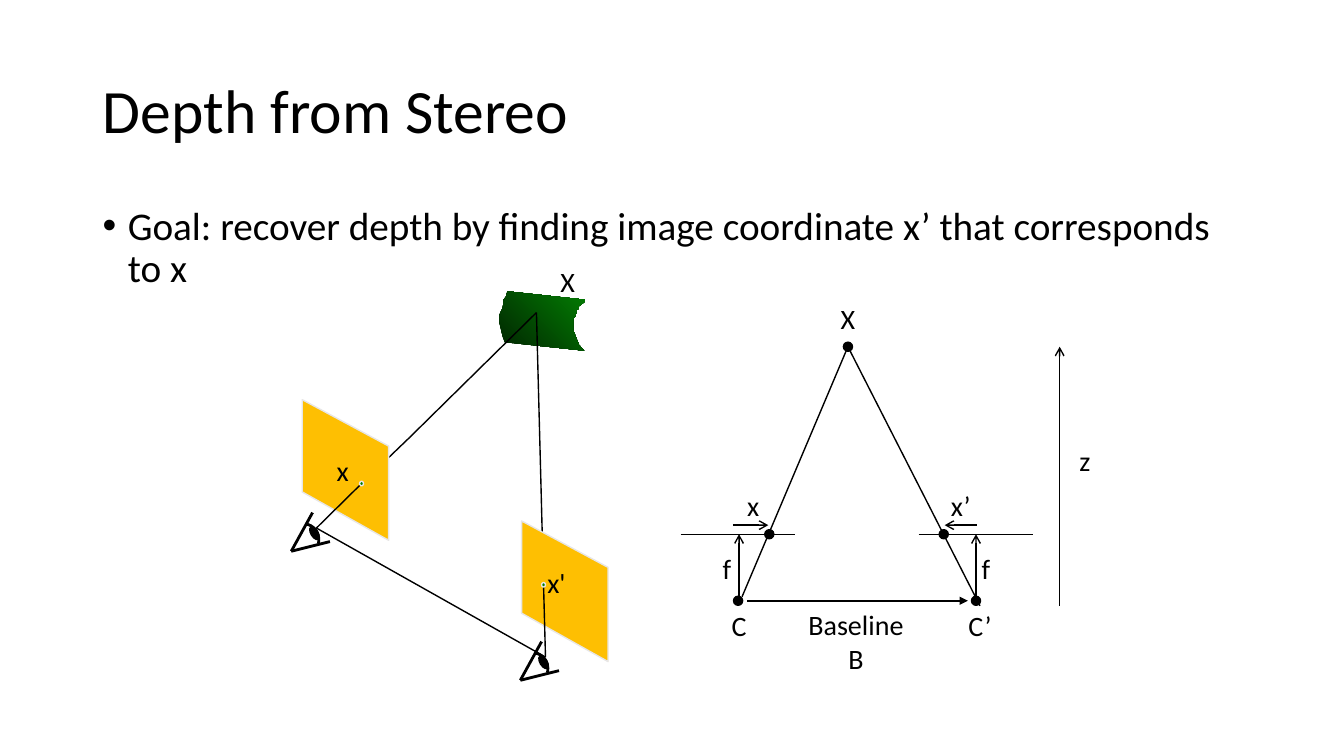
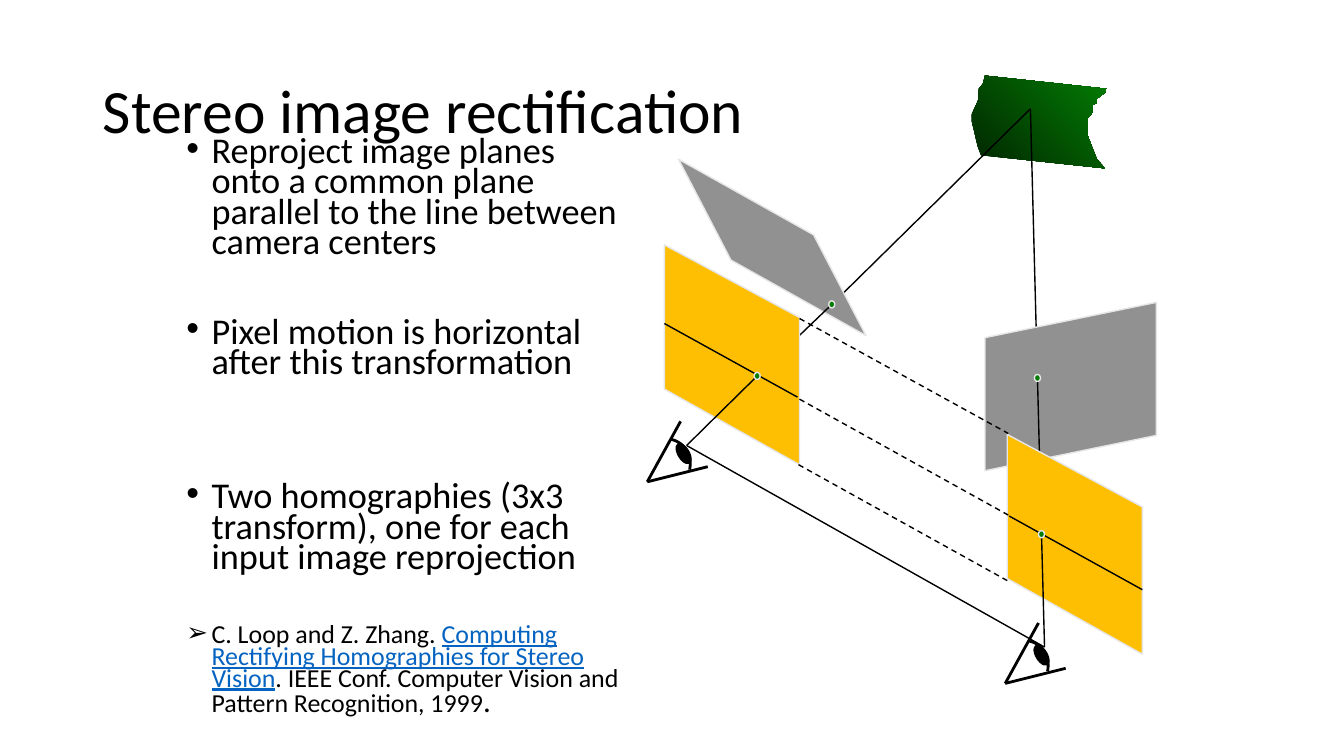
from dataclasses import dataclass
from typing import Optional

import lxml.etree
import pptx
import pptx.dml.color
import pptx.enum.dml
import pptx.enum.shapes
import pptx.enum.text
import pptx.oxml.ns
import pptx.presentation
import pptx.shapes.autoshape
import pptx.slide
import pptx.text.text
import pptx.util

Point = tuple[float, float]
Color = pptx.dml.color.RGBColor
Inches = pptx.util.Inches
Pt = pptx.util.Pt

BLACK = Color(0x00, 0x00, 0x00)
YELLOW = Color(0xFE, 0xBF, 0x02)
GRAY = Color(0x91, 0x91, 0x91)
PALE_GRAY = Color(0xE7, 0xE6, 0xE6)
DARK_GREEN = Color(0x01, 0x25, 0x01)
GREEN = Color(0x03, 0x7C, 0x03)
LINK_BLUE = Color(0x05, 0x63, 0xC1)
FONT = "Calibri"
DASH = pptx.enum.dml.MSO_LINE.DASH

SURFACE_OUTLINE = [
    (9.77, 0.75), (9.75, 0.83), (9.71, 0.88), (9.7, 1), (9.64, 1.13),
    (9.64, 1.21), (9.66, 1.29), (9.68, 1.38), (9.7, 1.46), (9.73, 1.54),
    (10.96, 1.67), (10.88, 1.58), (10.84, 1.48), (10.79, 1.35), (10.79, 1.17),
    (10.83, 1.13), (10.84, 1.04), (10.88, 1.02), (10.88, 0.98), (10.96, 0.92),
    (10.97, 0.88),
]
RECTIFIED_PLANE = [(0, 1.43), (1.34, 2.18), (1.34, 0.72), (0, 0)]
LEFT_INPUT_PLANE = [(7.25, 2.58), (8.59, 3.33), (8.07, 2.33), (6.73, 1.58)]
RIGHT_INPUT_PLANE = [(9.77, 3.35), (9.77, 4.67), (11.47, 4.32), (11.47, 3)]
EYELID_CURVE = [(0.24, -0.42), (0.37, -0.39), (0.45, -0.26), (0.42, -0.12)]
SCENE_POINT = (10.22, 1.08)


@dataclass(frozen=True)
class View:
    left: float = 0
    top: float = 0
    scale: float = 1

    def place(self, point: Point) -> Point:
        return self.left + point[0] * self.scale, self.top + point[1] * self.scale


@dataclass(frozen=True)
class Camera:
    eye: Point
    center: Point
    plane_corner: Point
    image_point: Point
    input_point: Point
    input_plane: list[Point]


@dataclass(frozen=True)
class Label:
    text: str
    center: float
    top: float


@dataclass(frozen=True)
class Segment:
    start: Point
    end: Point
    arrow: Optional[str] = None
    width: float = 1


@dataclass(frozen=True)
class Bullet:
    text: str
    space_before: float = 0


CAMERAS = [
    Camera((6.42, 4.78), (6.81, 4.42), (6.59, 2.43), (7.51, 3.73), (8.25, 3.02), LEFT_INPUT_PLANE),
    Camera((9.97, 6.78), (10.36, 6.42), (9.99, 4.31), (10.33, 5.3), (10.29, 3.75), RIGHT_INPUT_PLANE),
]
FULL_VIEW = View()
SMALL_VIEW = View(-1.22, 2.41, 0.64)

TRIANGLE_SEGMENTS = [
    Segment((6.75, 5.3), (7.89, 5.3)),
    Segment((9.11, 5.3), (10.25, 5.3)),
    Segment((7.36, 5.92), (8.41, 3.44)),
    Segment((9.72, 6.01), (8.41, 3.44)),
    Segment((7.33, 5.92), (7.33, 5.3), "arrow"),
    Segment((9.68, 5.92), (9.68, 5.3), "arrow"),
    Segment((7.27, 5.21), (7.62, 5.21), "arrow"),
    Segment((9.69, 5.21), (9.37, 5.21), "arrow"),
    Segment((10.51, 6.01), (10.51, 3.44), "arrow"),
    Segment((7.41, 5.96), (9.6, 5.96), "triangle", 1.5),
]
TRIANGLE_POINTS = [(7.32, 5.96), (9.68, 5.96), (8.41, 3.44), (7.63, 5.3), (9.36, 5.3)]
DEPTH_LABELS = [
    Label("f", 7.21, 5.42), Label("f", 9.78, 5.42),
    Label("x", 7.47, 4.8), Label("x’", 9.53, 4.8),
    Label("Baseline\nB", 8.49, 5.98), Label("z", 10.76, 4.35),
    Label("C", 7.33, 5.99), Label("C’", 9.72, 5.99), Label("X", 8.41, 2.94),
    Label("X", 5.63, 2.58), Label("x", 3.4, 4.45), Label("x'", 5.52, 5.56),
]
GOAL = Bullet("Goal: recover depth by finding image coordinate x’ that corresponds to x")
RECTIFICATION_BULLETS = [
    Bullet("Reproject image planes onto a common plane parallel to the line between camera centers"),
    Bullet("Pixel motion is horizontal after this transformation", 42),
    Bullet("Two homographies (3x3 transform), one for each input image reprojection", 74),
]
EPIPOLAR_LINES = [((6.59, 3.21), (7.91, 3.94)), ((10.01, 5.12), (11.33, 5.85))]
PLANE_LINKS = [((7.93, 3.16), (10, 4.3)), ((7.93, 3.96), (10, 5.11)), ((7.92, 4.61), (9.99, 5.76))]


def add_line(slide: pptx.slide.Slide, start: Point, end: Point, width: float = 1,
             arrow: Optional[str] = None, dash: Optional[pptx.enum.dml.MSO_LINE] = None) -> None:
    connector = slide.shapes.add_connector(
        pptx.enum.shapes.MSO_CONNECTOR.STRAIGHT, *(Inches(value) for value in (*start, *end)))
    connector.line.color.rgb = BLACK
    connector.line.width = Pt(width)
    if dash is not None:
        connector.line.dash_style = dash
    properties = connector._element.spPr
    if arrow:
        outline = properties.find(pptx.oxml.ns.qn("a:ln"))
        lxml.etree.SubElement(outline, pptx.oxml.ns.qn("a:tailEnd"), type=arrow)
    lxml.etree.SubElement(properties, pptx.oxml.ns.qn("a:effectLst"))


def add_ellipse(slide: pptx.slide.Slide, center: Point, width: float, height: float,
                fill: Color, outline: Color, rotation: float = 0) -> None:
    shape = slide.shapes.add_shape(
        pptx.enum.shapes.MSO_SHAPE.OVAL, Inches(center[0] - width / 2),
        Inches(center[1] - height / 2), Inches(width), Inches(height))
    shape.shadow.inherit = False
    shape.fill.solid()
    shape.fill.fore_color.rgb = fill
    shape.line.color.rgb = outline
    shape.line.width = Pt(1)
    shape.rotation = rotation


def add_outline(slide: pptx.slide.Slide, points: list[Point],
                close: bool = True) -> pptx.shapes.autoshape.Shape:
    vertices = [(Inches(x), Inches(y)) for x, y in points]
    builder = slide.shapes.build_freeform(*vertices[0])
    builder.add_line_segments(vertices[1:], close=close)
    shape = builder.convert_to_shape()
    shape.shadow.inherit = False
    return shape


def add_plane(slide: pptx.slide.Slide, points: list[Point], color: Color) -> None:
    plane = add_outline(slide, points)
    plane.fill.solid()
    plane.fill.fore_color.rgb = color
    plane.line.color.rgb = PALE_GRAY
    plane.line.width = Pt(1)


def add_surface(slide: pptx.slide.Slide, view: View) -> None:
    surface = add_outline(slide, [view.place(point) for point in SURFACE_OUTLINE])
    surface.fill.gradient()
    surface.fill.gradient_angle = 45
    for stop, color, position in zip(surface.fill.gradient_stops, (DARK_GREEN, GREEN), (0, 1)):
        stop.color.rgb = color
        stop.position = position
    surface.line.fill.background()


def bezier_points(controls: list[Point], steps: int = 12) -> list[Point]:
    points = []
    for step in range(steps + 1):
        t = step / steps
        weights = ((1 - t) ** 3, 3 * t * (1 - t) ** 2, 3 * t ** 2 * (1 - t), t ** 3)
        points.append((sum(w * x for w, (x, _) in zip(weights, controls)),
                       sum(w * y for w, (_, y) in zip(weights, controls))))
    return points


def add_eye(slide: pptx.slide.Slide, corner: Point, scale: float) -> None:
    eye = View(*corner, scale)
    curve = add_outline(slide, [eye.place(point) for point in bezier_points(EYELID_CURVE)], False)
    curve.fill.background()
    curve.line.color.rgb = BLACK
    curve.line.width = Pt(2)
    for tip in ((0.33, -0.6), (0.6, -0.15)):
        add_line(slide, corner, eye.place(tip), 2)
    add_ellipse(slide, eye.place((0.36, -0.28)), 0.11 * scale, 0.22 * scale, BLACK, BLACK, 329)


def add_stereo_rig(slide: pptx.slide.Slide, view: View, show_input_planes: bool) -> None:
    def image_dot(point: Point) -> None:
        add_ellipse(slide, view.place(point), 0.06 * view.scale, 0.07 * view.scale, GREEN, PALE_GRAY)

    def ray(start: Point, end: Point) -> None:
        add_line(slide, view.place(start), view.place(end))

    add_surface(slide, view)
    ray(CAMERAS[0].center, CAMERAS[1].center)
    for camera in CAMERAS:
        ray(camera.input_point, SCENE_POINT)
        if show_input_planes:
            add_plane(slide, [view.place(point) for point in camera.input_plane], GRAY)
        ray(camera.image_point, camera.input_point)
        corner = View(*view.place(camera.plane_corner), view.scale)
        add_plane(slide, [corner.place(point) for point in RECTIFIED_PLANE], YELLOW)
        ray(camera.center, camera.image_point)
        add_eye(slide, view.place(camera.eye), view.scale)
        if show_input_planes:
            image_dot(camera.input_point)
    if show_input_planes:
        for start, end in EPIPOLAR_LINES:
            ray(start, end)
        for start, end in PLANE_LINKS:
            add_line(slide, view.place(start), view.place(end), dash=DASH)
    for camera in CAMERAS:
        image_dot(camera.image_point)


def style_font(font: pptx.text.text.Font, size: float, color: Color = BLACK) -> None:
    font.name = FONT
    font.size = Pt(size)
    font.color.rgb = color


def add_text_frame(slide: pptx.slide.Slide, left: float, top: float, width: float,
                   height: float) -> pptx.text.text.TextFrame:
    box = slide.shapes.add_textbox(Inches(left), Inches(top), Inches(width), Inches(height))
    box.text_frame.word_wrap = True
    return box.text_frame


def add_label(slide: pptx.slide.Slide, label: Label) -> None:
    width = 1.4
    height = 0.1 + 0.34 * len(label.text.splitlines())
    frame = add_text_frame(slide, label.center - width / 2, label.top, width, height)
    paragraph = frame.paragraphs[0]
    paragraph.text = label.text
    paragraph.alignment = pptx.enum.text.PP_ALIGN.CENTER
    style_font(paragraph.font, 20)


def format_bullet(paragraph: pptx.text.text._Paragraph, size: float, spacing: float,
                  space_before: float = 0, symbol: str = "•") -> None:
    paragraph.line_spacing = spacing
    if space_before:
        paragraph.space_before = Pt(space_before)
    properties = paragraph._p.get_or_add_pPr()
    properties.set("marL", str(Inches(0.25)))
    properties.set("indent", str(-Inches(0.25)))
    lxml.etree.SubElement(properties, pptx.oxml.ns.qn("a:buFont"), typeface="Arial")
    lxml.etree.SubElement(properties, pptx.oxml.ns.qn("a:buChar"), char=symbol)
    style_font(paragraph.font, size)


def add_bullets(frame: pptx.text.text.TextFrame, bullets: list[Bullet],
                size: float, spacing: float) -> None:
    for index, bullet in enumerate(bullets):
        paragraph = frame.add_paragraph() if index else frame.paragraphs[0]
        paragraph.text = bullet.text
        format_bullet(paragraph, size, spacing, bullet.space_before)


def add_citation(frame: pptx.text.text.TextFrame) -> None:
    paragraph = frame.add_paragraph()
    format_bullet(paragraph, 18.5, 0.7, 36, "➢")
    paragraph.add_run().text = "C. Loop and Z. Zhang. "
    title = paragraph.add_run()
    title.text = "Computing Rectifying Homographies for Stereo Vision"
    title.font.color.rgb = LINK_BLUE
    title.font.underline = True
    paragraph.add_run().text = ". IEEE Conf. Computer Vision and Pattern Recognition, 1999"
    period = paragraph.add_run()
    period.text = "."
    period.font.size = Pt(22.2)


def add_titled_slide(presentation: pptx.presentation.Presentation, text: str) -> pptx.slide.Slide:
    slide = presentation.slides.add_slide(presentation.slide_layouts[5])
    title = slide.shapes.title
    title.left, title.top = Inches(0.92), Inches(0.4)
    title.width, title.height = Inches(11.5), Inches(1.45)
    frame = title.text_frame
    frame.text = text
    frame.auto_size = pptx.enum.text.MSO_AUTO_SIZE.NONE
    frame.vertical_anchor = pptx.enum.text.MSO_ANCHOR.MIDDLE
    paragraph = frame.paragraphs[0]
    paragraph.alignment = pptx.enum.text.PP_ALIGN.LEFT
    paragraph.line_spacing = 0.9
    style_font(paragraph.font, 44)
    return slide


def build_depth_slide(presentation: pptx.presentation.Presentation) -> None:
    slide = add_titled_slide(presentation, "Depth from Stereo")
    add_bullets(add_text_frame(slide, 0.92, 2, 11.5, 4.76), [GOAL], 28, 0.9)
    for segment in TRIANGLE_SEGMENTS:
        add_line(slide, segment.start, segment.end, segment.width, segment.arrow)
    for point in TRIANGLE_POINTS:
        add_ellipse(slide, point, 0.09, 0.09, BLACK, BLACK)
    add_stereo_rig(slide, SMALL_VIEW, False)
    for label in DEPTH_LABELS:
        add_label(slide, label)


def build_rectification_slide(presentation: pptx.presentation.Presentation) -> None:
    slide = add_titled_slide(presentation, "Stereo image rectification")
    add_stereo_rig(slide, FULL_VIEW, True)
    frame = add_text_frame(slide, 1.75, 1.33, 4.58, 6.06)
    add_bullets(frame, RECTIFICATION_BULLETS, 25.9, 0.7)
    add_citation(frame)


def main() -> None:
    presentation = pptx.Presentation()
    presentation.slide_width, presentation.slide_height = Inches(13.33), Inches(7.5)
    build_depth_slide(presentation)
    build_rectification_slide(presentation)
    presentation.save("out.pptx")


if __name__ == "__main__":
    main()
